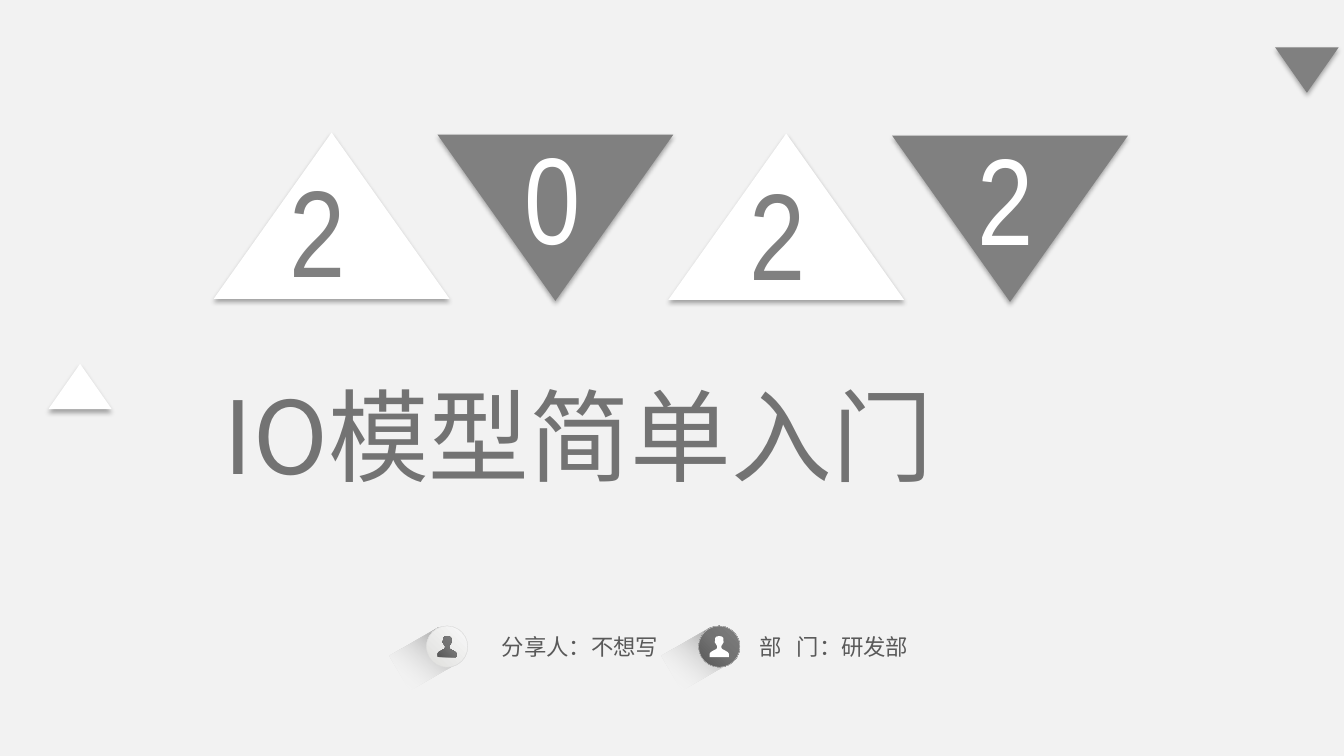
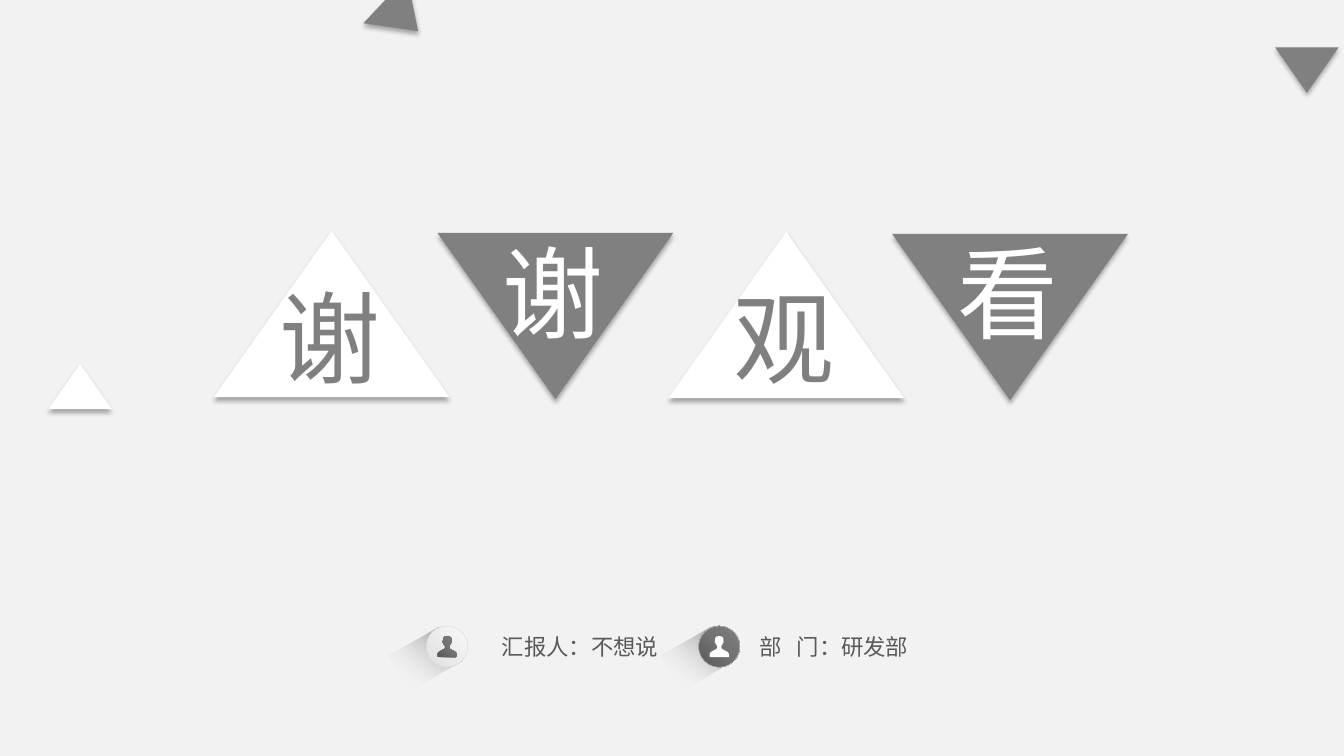
from pptx import Presentation
from pptx.dml.color import RGBColor as RGB
from pptx.enum.shapes import MSO_SHAPE as Kind
from pptx.enum.text import MSO_ANCHOR as Anchor, MSO_AUTO_SIZE as Fit, PP_ALIGN as Align
from pptx.oxml import parse_xml as xml
from pptx.oxml.ns import nsdecls, qn
from pptx.util import Inches, Pt
from lxml.etree import SubElement as Sub

CELL = Inches(0.1)  # one grid step; the slide is 133.33 columns by 75 rows
WHITE, GREY, PALE, TEXT = "FFFFFF", "808080", "F2F2F2", "595959"
SANS, SLIM = "Noto Sans CJK SC", "Arial Narrow"

# Gradients: angle, then stops of place, colour, opacity (all in percent)
INK = (315, [(0, "404040", 100), (53, "737373", 100), (100, "262626", 100)])
STEEL = (315, [(0, "575757", 100), (53, "737373", 100), (100, "7E7E7E", 100)])
PEARL = (315, [(0, "DFDFDD", 100), (100, "F9F9F9", 100)])
TAIL = (160, [(0, GREY, 100), (84, PALE, 0)])

SHADE = (f'<a:outerShdw {nsdecls("a")} blurRad="{Pt(3.5)}" dist="{Pt(2.2)}" dir="5400000" '
         'algn="t" rotWithShape="0"><a:srgbClr val="000000"><a:alpha val="32000"/>'
         '</a:srgbClr></a:outerShdw>')

# Right half of the user icon, in steps of 0.005 inch from its top centre
HALF = [(5, 1), (8, 4), (8, 9), (9, 12), (6, 17), (4, 20), (4, 23),
        (6, 26), (12, 29), (17, 32), (19, 35), (19, 42)]
BUST = HALF + [(-x, y) for x, y in reversed(HALF)]


def paint(fill, props, look):
    """Fill with a hex colour or a gradient; props is the XML parent of the fill."""
    fill.solid()
    if isinstance(look, str):
        fill.fore_color.rgb = RGB.from_string(look)
        return
    angle, stops = look
    marks = "".join(
        f'<a:gs pos="{at * 1000}"><a:srgbClr val="{tint}">'
        f'<a:alpha val="{solid * 1000}"/></a:srgbClr></a:gs>' for at, tint, solid in stops)
    props.replace(props.find(qn("a:solidFill")), xml(
        f'<a:gradFill {nsdecls("a")} rotWithShape="1"><a:gsLst>{marks}</a:gsLst>'
        f'<a:lin ang="{angle * 60000}" scaled="0"/></a:gradFill>'))


def put(slide, kind, box, look, turn=0):
    """Add a preset shape on the grid; triangles get a soft shadow."""
    shape = slide.shapes.add_shape(kind, *[int(n * CELL) for n in box])
    shape.rotation = turn
    shape.shadow.inherit = False
    shape.line.fill.background()
    props = shape._element.spPr
    paint(shape.fill, props, look)
    if kind == Kind.ISOSCELES_TRIANGLE:
        props.find(qn("a:effectLst")).append(xml(SHADE))
    return shape


deck = Presentation()
deck.slide_width, deck.slide_height = Inches(13.333), Inches(7.5)
paper = deck.slide_master.background.fill
paper.solid()
paper.fore_color.rgb = RGB.from_string(PALE)

TRI = Kind.ISOSCELES_TRIANGLE
SMALL = (6.3, 4.5)
PAGES = [
    dict(layout=5, title="IO模型简单入门", host="分享人：不想写", top=13.15,
         signs="2022", size=88, font=SLIM, high=15.8,
         spots=[(27.7, 14.8), (51.1, 11.5), (73.4, 15.1), (96, 11.6)],
         extra=[]),
    dict(layout=6, title=None, host="汇报人：不想说", top=22.9,
         signs="谢谢观看", size=72, font=SANS, high=13.1,
         spots=[(26.7, 26.9), (48.9, 22.4), (71.8, 26.9), (94, 22.4)],
         extra=[((36.7, -0.7, *SMALL), GREY, 133.2)]),
]

for page in PAGES:
    slide = deck.slides.add_slide(deck.slide_layouts[page["layout"]])

    # Round user badges with their long tails
    for left, disc, icon in [(42.3, PEARL, STEEL), (69.3, STEEL, WHITE)]:
        put(slide, Kind.RECTANGLE, (left - 3, 63.4, 5.6, 4), TAIL, 330)
        badge = put(slide, Kind.OVAL, (left, 62.1, 4.1, 4.1), disc)
        badge.line.color.rgb = RGB.from_string("D9D9D9")
        badge.line.width = Pt(0.25)
        pen = slide.shapes.build_freeform(0, 0, scale=Inches(0.005))
        pen.add_line_segments(BUST, close=True)
        user = pen.convert_to_shape(int((left + 2.05) * CELL), int(63.1 * CELL))
        user.shadow.inherit = False
        user.line.fill.background()
        paint(user.fill, user._element.spPr, icon)

    # Two pairs of large triangles, then the small ones
    for i in range(4):
        pair, flip = divmod(i, 2)
        box = (21.2 + 45.1 * pair + 22.2 * flip,
               page["top"] + 0.1 * pair + 0.2 * flip, 23.4, 16.5)
        put(slide, TRI, box, (WHITE, GREY)[flip], 180 * flip)
    for box, look, turn in [((4.8, 36.1, *SMALL), WHITE, 0),
                            ((126.5, 4.7, *SMALL), GREY, 180)] + page["extra"]:
        put(slide, TRI, box, look, turn)

    # Texts: runs, box, size, font, look, alignment
    texts = [
        ([page["host"]], (46, 62.3, 20.3, 3.7), 16, SANS, TEXT, Align.RIGHT),
        (["部", " ", "门：研发部"], (73, 62.3, 18.1, 3.7), 16, SANS, TEXT, Align.RIGHT),
    ]
    for i, (sign, spot) in enumerate(zip(page["signs"], page["spots"])):
        texts.append(([sign], (*spot, 11, page["high"]), page["size"], page["font"],
                      (GREY, WHITE)[i % 2], Align.LEFT))
    if page["title"]:
        texts.append(([page["title"]], (21.2, 36.6, 91.9, 13.1), 72, SANS, INK,
                      Align.JUSTIFY))

    for bits, box, size, font, look, align in texts:
        place = [int(n * CELL) for n in box]
        if bits == [page["title"]]:
            label = slide.shapes.title
            for name, value in zip(("left", "top", "width", "height"), place):
                setattr(label, name, value)
        else:
            label = slide.shapes.add_textbox(*place)
        frame = label.text_frame
        form = dict(word_wrap=True, auto_size=Fit.SHAPE_TO_FIT_TEXT,
                    vertical_anchor=Anchor.TOP)
        for name, value in form.items():
            setattr(frame, name, value)
        para = frame.paragraphs[0]
        para.alignment = align
        for bit in bits:
            run = para.add_run()
            run.text = bit
            for name, value in dict(size=Pt(size), name=font).items():
                setattr(run.font, name, value)
            props = run._r.get_or_add_rPr()
            paint(run.font.fill, props, look)
            Sub(props, qn("a:ea")).set("typeface", font)
            if bit == " ":
                props.set("spc", "720")  # widens the gap inside the label

deck.save("out.pptx")
